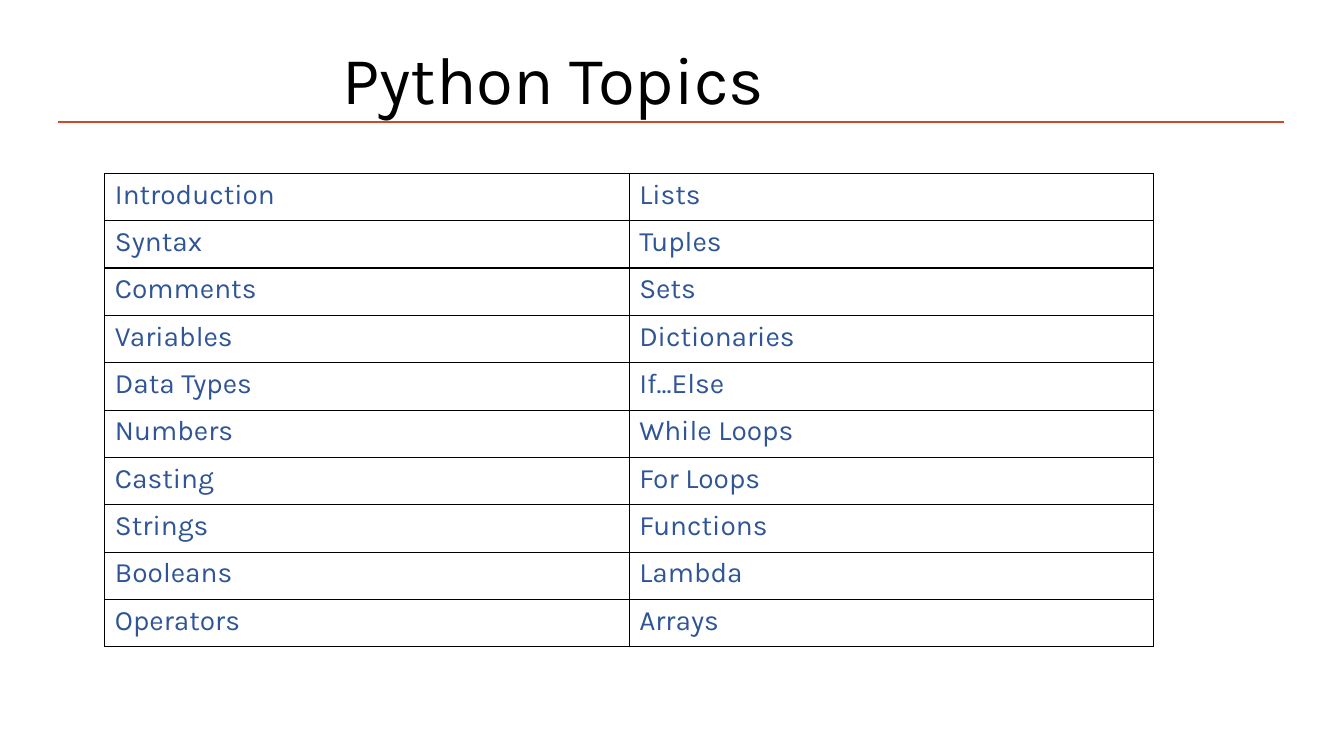
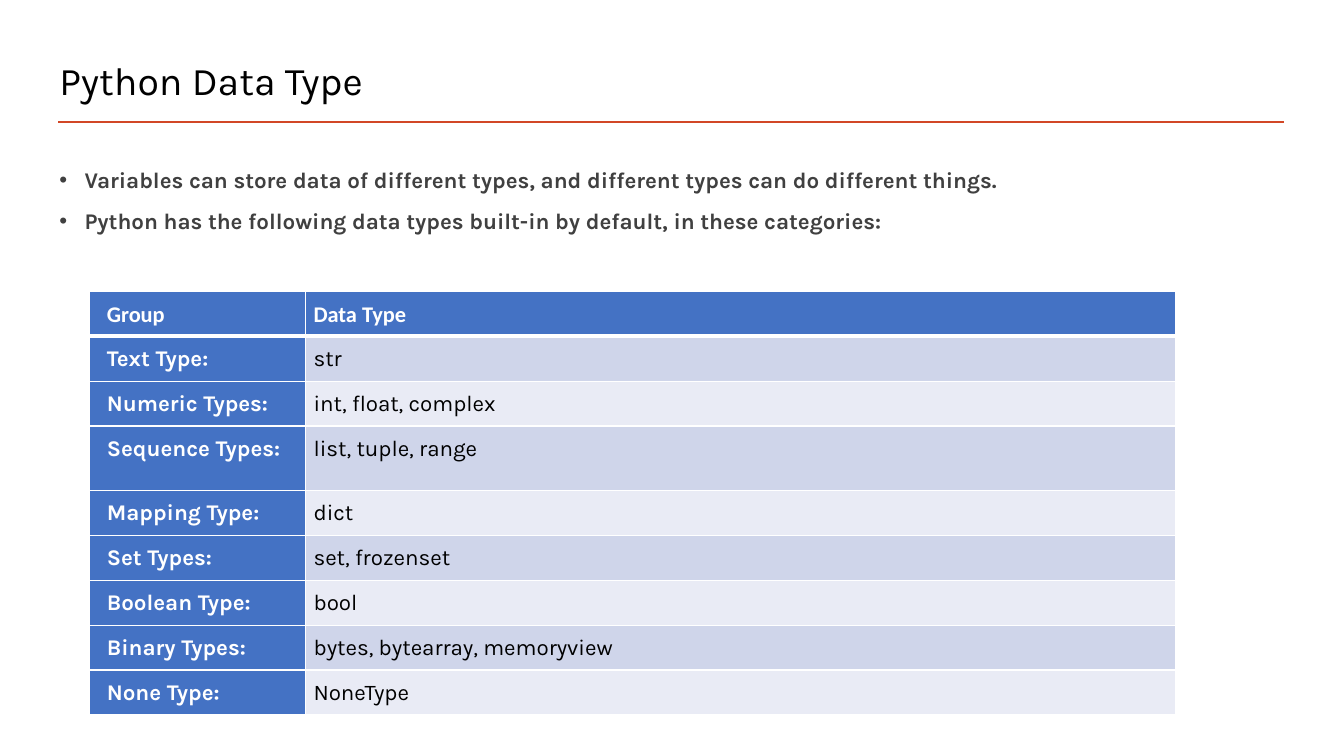
from lxml import etree
from pptx import Presentation
from pptx.dml.color import RGBColor
from pptx.enum import shapes, text
from pptx.oxml import ns
from pptx.util import Emu, Pt

PX = 9144  # EMU per px, 100 px to the inch
COLORS = {
    "rule": "D24726", "black": "000000", "white": "FFFFFF", "body": "404040",
    "link": "2F5597", "head": "4472C4", "band_dark": "CFD5EA", "band_light": "E9EBF5",
}


def px(n):
    return Emu(n * PX)


def rgb(name):
    return RGBColor.from_string(COLORS[name])


def write(p, words, size=16, font="Karla", color="black", bold=False,
          align=None, line=None, before=None, after=None):
    """Put formatted words into a paragraph."""
    p.alignment, p.line_spacing = align, line
    p.space_before, p.space_after = before, after
    r = p.add_run()
    r.text = words
    r.font.size, r.font.name, r.font.bold = Pt(size), font, bold
    r.font.color.rgb = rgb(color)


class Deck:
    def __init__(self):
        self.prs = Presentation()
        self.prs.slide_width, self.prs.slide_height = px(1333), px(750)
        self.slide = None

    def new_slide(self, title, size, align=None):
        """Start a slide with the shared rule and title."""
        self.slide = self.prs.slides.add_slide(self.prs.slide_layouts[6])
        self.rule(58, 121, 1274)
        tf = self.text_box(49, 47, 1000, 70, text.MSO_ANCHOR.MIDDLE)
        write(tf.paragraphs[0], title, size=size, align=align, line=0.9)

    def rule(self, x1, y, x2):
        sp = self.slide.shapes.add_connector(
            shapes.MSO_CONNECTOR.STRAIGHT, px(x1), px(y), px(x2), px(y))
        sp.line.color.rgb, sp.line.width = rgb("rule"), Pt(2)
        etree.SubElement(sp._element.spPr, ns.qn("a:effectLst"))

    def text_box(self, x, y, w, h, anchor=text.MSO_ANCHOR.TOP):
        tf = self.slide.shapes.add_textbox(px(x), px(y), px(w), px(h)).text_frame
        tf.word_wrap, tf.vertical_anchor = True, anchor
        return tf

    def bullets(self, x, y, w, h, lines, **fmt):
        tf = self.text_box(x, y, w, h)
        for i, words in enumerate(lines):
            p = tf.add_paragraph() if i else tf.paragraphs[0]
            write(p, words, **fmt)
            pPr = p._p.get_or_add_pPr()
            pPr.set("marL", str(px(25)))
            pPr.set("indent", str(-px(25)))
            etree.SubElement(pPr, ns.qn("a:buFont"), typeface="Arial")
            etree.SubElement(pPr, ns.qn("a:buChar"), char="•")

    def table(self, x, y, cols, rows):
        """Add an unstyled table with the given column widths and row heights."""
        tbl = self.slide.shapes.add_table(
            len(rows), len(cols), px(x), px(y), px(sum(cols)), px(sum(rows))).table
        tbl.first_row = tbl.horz_banding = False
        for tracks, sizes, side in ((tbl.columns, cols, "width"), (tbl.rows, rows, "height")):
            for track, n in zip(tracks, sizes):
                setattr(track, side, px(n))
        return tbl

    def cell(self, cell, words, border, fill=None, insets=None, top=1, bottom=1, **fmt):
        tcPr = cell._tc.get_or_add_tcPr()
        for side, width in (("L", 1), ("R", 1), ("T", top), ("B", bottom)):
            ln = etree.SubElement(tcPr, ns.qn(f"a:ln{side}"), w=str(Pt(width)))
            paint = etree.SubElement(ln, ns.qn("a:solidFill"))
            etree.SubElement(paint, ns.qn("a:srgbClr"), val=COLORS[border])
        if fill:
            cell.fill.solid()
            cell.fill.fore_color.rgb = rgb(fill)
        else:
            cell.fill.background()
        if insets:
            (cell.margin_left, cell.margin_top,
             cell.margin_right, cell.margin_bottom) = map(px, insets)
        write(cell.text_frame.paragraphs[0], words, **fmt)


TOPICS = [
    ("Introduction", "Lists"), ("Syntax", "Tuples"), ("Comments", "Sets"),
    ("Variables", "Dictionaries"), ("Data Types", "If...Else"),
    ("Numbers", "While Loops"), ("Casting", "For Loops"),
    ("Strings", "Functions"), ("Booleans", "Lambda"), ("Operators", "Arrays"),
]
DATA_TYPES = [
    ("Group", "Data Type"),
    ("Text Type:", "str"),
    ("Numeric Types:", "int, float, complex"),
    ("Sequence Types:", "list, tuple, range"),
    ("Mapping Type:", "dict"),
    ("Set Types:", "set, frozenset"),
    ("Boolean Type:", "bool"),
    ("Binary Types:", "bytes, bytearray, memoryview"),
    ("None Type:", "NoneType"),
]


def topics_slide(deck):
    deck.new_slide("Python Topics", 48, text.PP_ALIGN.CENTER)
    tbl = deck.table(104, 172, [520, 520], [47] * len(TOPICS))
    for i, row in enumerate(TOPICS):
        for j, words in enumerate(row):
            deck.cell(tbl.cell(i, j), words, "black", size=20, color="link")


def data_types_slide(deck):
    deck.new_slide("Python Data Type", 28)
    # Table: header row and first column are dark, the rest is banded
    heights = [64 if group == "Sequence Types:" else 44 for group, _ in DATA_TYPES]
    tbl = deck.table(89, 289, [214, 863], heights)
    for i, row in enumerate(DATA_TYPES):
        for j, words in enumerate(row):
            head = i == 0 or j == 0
            band = "band_dark" if i % 2 else "band_light"
            deck.cell(
                tbl.cell(i, j), words, "white", fill="head" if head else band,
                insets=(8 if j else 17, 8, 8, 8),
                top=3 if i == 1 else 1, bottom=3 if i == 0 else 1,
                font="Karla" if i else "Calibri", bold=head,
                color="white" if head else "black", line=1.07, after=Pt(8))
    # Introduction
    deck.bullets(49, 160, 984, 435, [
        "Variables can store data of different types, and different types can do different things.",
        "Python has the following data types built-in by default, in these categories:",
    ], color="body", bold=True, before=Pt(10))


def main():
    deck = Deck()
    topics_slide(deck)
    data_types_slide(deck)
    deck.prs.save("out.pptx")


if __name__ == "__main__":
    main()
